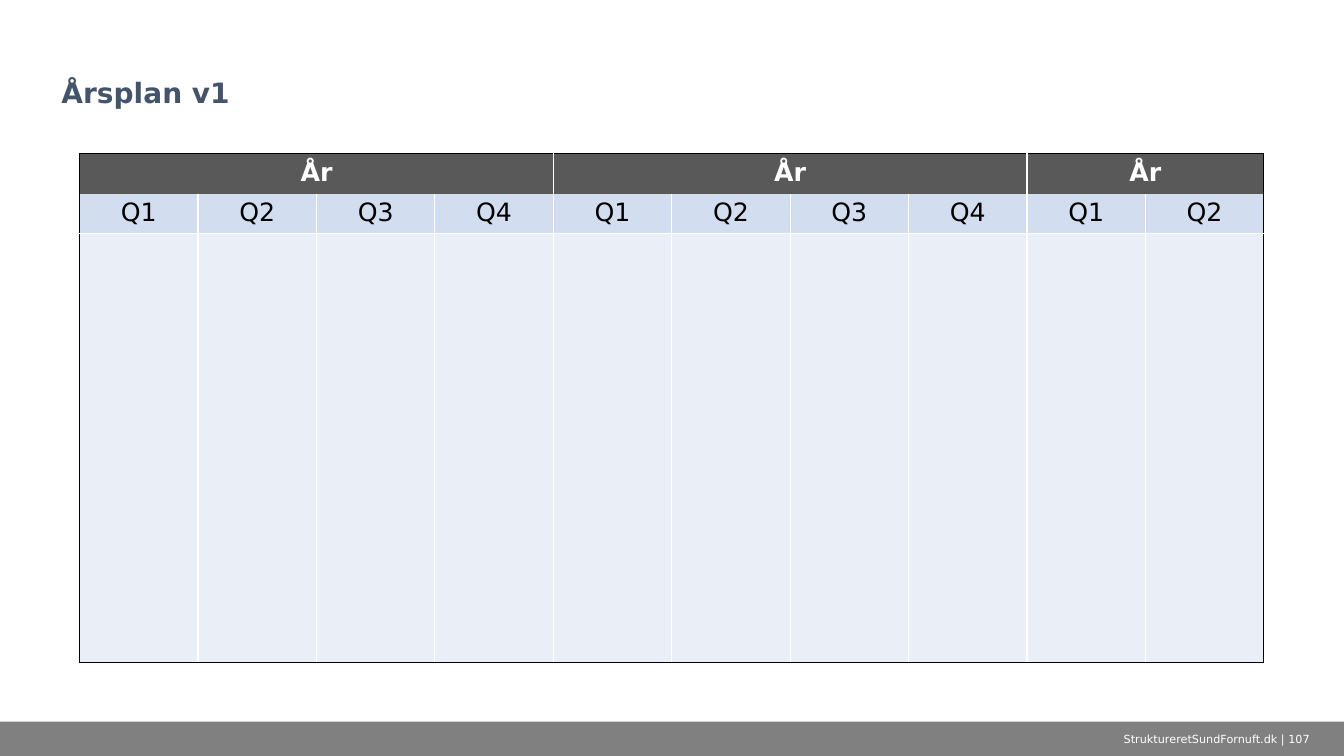
from lxml import etree
from pptx import Presentation
from pptx.dml.color import RGBColor
from pptx.enum.shapes import MSO_SHAPE
from pptx.enum.text import MSO_ANCHOR, MSO_AUTO_SIZE, PP_ALIGN
from pptx.oxml.ns import qn
from pptx.util import Pt

RECTANGLE = MSO_SHAPE.RECTANGLE
MIDDLE, BOTTOM = MSO_ANCHOR.MIDDLE, MSO_ANCHOR.BOTTOM
LEFT, CENTER = PP_ALIGN.LEFT, PP_ALIGN.CENTER
NO_AUTOFIT = MSO_AUTO_SIZE.NONE

FONT = "DejaVu Sans"
BLACK = RGBColor(0x00, 0x00, 0x00)
WHITE = RGBColor(0xFF, 0xFF, 0xFF)
NAVY = RGBColor(0x44, 0x54, 0x6A)
GREY = RGBColor(0x80, 0x80, 0x80)
YEAR_FILL = RGBColor(0x59, 0x59, 0x59)
QUARTER_FILL = RGBColor(0xD2, 0xDE, 0xEF)
PLAN_FILL = RGBColor(0xEA, 0xEF, 0xF7)

SLIDE_WIDTH, SLIDE_HEIGHT = 960, 540
FOOTER_TOP, FOOTER_HEIGHT = 515.5, 24.5
QUARTERS_PER_YEAR = 4
QUARTER_COUNT = 10
COLUMN_WIDTH = 84.6
ROW_HEIGHTS = (28, 28, 306)
ROW_FILLS = (YEAR_FILL, QUARTER_FILL, PLAN_FILL)
ROW_EDGES = (BLACK, None, WHITE, BLACK)


def write(frame, text, size=18, color=BLACK, bold=False, align=CENTER, spacing=None):
    para = frame.paragraphs[0]
    para.alignment = align
    para.line_spacing = spacing
    span = para.add_run()
    span.text = text
    span.font.name = FONT
    span.font.size = Pt(size)
    span.font.bold = bold
    span.font.color.rgb = color


def add_title(page, text):
    title = page.shapes.title
    title.left, title.top, title.width, title.height = Pt(36.7), Pt(12.2), Pt(886.3), Pt(69.8)
    title.text_frame.auto_size = NO_AUTOFIT
    title.text_frame.vertical_anchor = BOTTOM
    write(title.text_frame, text, size=20, color=NAVY, bold=True, align=LEFT, spacing=0.9)


def add_footer(page, text):
    bar = page.shapes.add_shape(RECTANGLE, 0, Pt(FOOTER_TOP), Pt(SLIDE_WIDTH), Pt(FOOTER_HEIGHT))
    bar.shadow.inherit = False
    bar.fill.solid()
    bar.fill.fore_color.rgb = GREY
    bar.line.fill.background()
    box = page.shapes.add_textbox(Pt(778.5), Pt(FOOTER_TOP), Pt(181.5), Pt(FOOTER_HEIGHT))
    box.text_frame.word_wrap = True
    box.text_frame.vertical_anchor = MIDDLE
    write(box.text_frame, text, size=8, color=WHITE)


def set_border(cell, side, color):
    properties = cell._tc.get_or_add_tcPr()
    line = etree.SubElement(properties, qn(f"a:ln{side}"), w=str(Pt(1)))
    if color is None:
        etree.SubElement(line, qn("a:noFill"))
    else:
        fill = etree.SubElement(line, qn("a:solidFill"))
        etree.SubElement(fill, qn("a:srgbClr"), val=str(color))


def column_edge(row, boundary):
    if boundary in (0, QUARTER_COUNT):
        return BLACK
    if row == 0 and boundary % QUARTERS_PER_YEAR:
        return None
    return WHITE


def style_cell(cell, row, column):
    # Borders come before the fill in the cell properties
    set_border(cell, "L", column_edge(row, column))
    width = cell.span_width if cell.is_merge_origin else 1
    set_border(cell, "R", column_edge(row, column + width))
    set_border(cell, "T", ROW_EDGES[row])
    set_border(cell, "B", ROW_EDGES[row + 1])
    cell.fill.solid()
    cell.fill.fore_color.rgb = ROW_FILLS[row]


def add_year_plan(page):
    frame = page.shapes.add_table(
        len(ROW_HEIGHTS), QUARTER_COUNT, Pt(56.9), Pt(109.4),
        Pt(COLUMN_WIDTH * QUARTER_COUNT), Pt(sum(ROW_HEIGHTS)))
    table = frame.table
    table.first_row = table.horz_banding = False
    for column in table.columns:
        column.width = Pt(COLUMN_WIDTH)
    for row, height in zip(table.rows, ROW_HEIGHTS):
        row.height = Pt(height)

    # Year headings span their quarters
    for start in range(0, QUARTER_COUNT, QUARTERS_PER_YEAR):
        end = min(start + QUARTERS_PER_YEAR, QUARTER_COUNT) - 1
        heading = table.cell(0, start)
        heading.merge(table.cell(0, end))
        write(heading.text_frame, "År", color=WHITE, bold=True)

    # Quarter labels and cell formats
    for column in range(QUARTER_COUNT):
        quarter = column % QUARTERS_PER_YEAR + 1
        write(table.cell(1, column).text_frame, f"Q{quarter}")
        for row in range(len(ROW_HEIGHTS)):
            style_cell(table.cell(row, column), row, column)


def main():
    deck = Presentation()
    deck.slide_width, deck.slide_height = Pt(SLIDE_WIDTH), Pt(SLIDE_HEIGHT)
    page = deck.slides.add_slide(deck.slide_layouts.get_by_name("Title Only"))
    add_title(page, "Årsplan v1")
    add_footer(page, "StruktureretSundFornuft.dk | 107")
    add_year_plan(page)
    deck.save("out.pptx")


if __name__ == "__main__":
    main()
